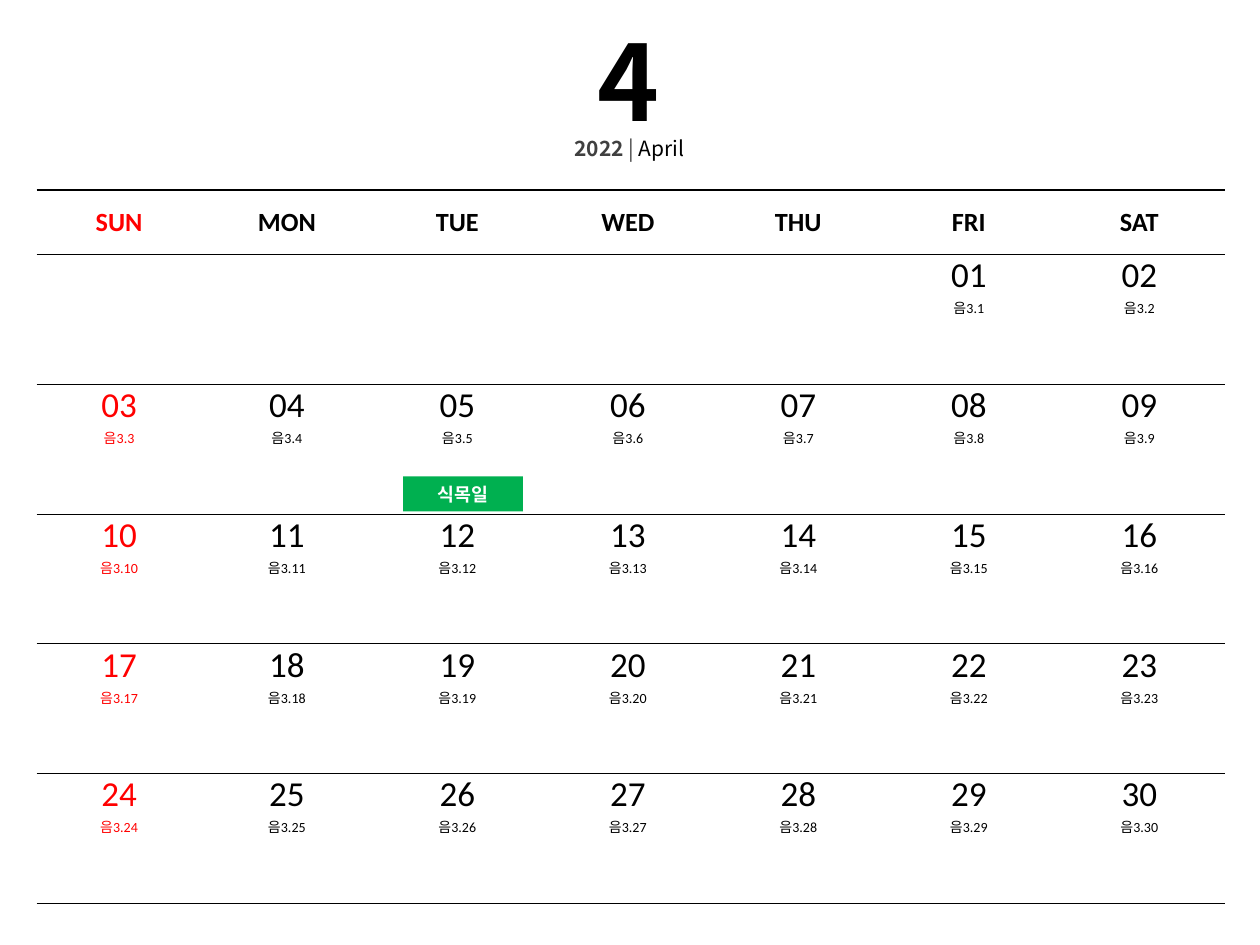
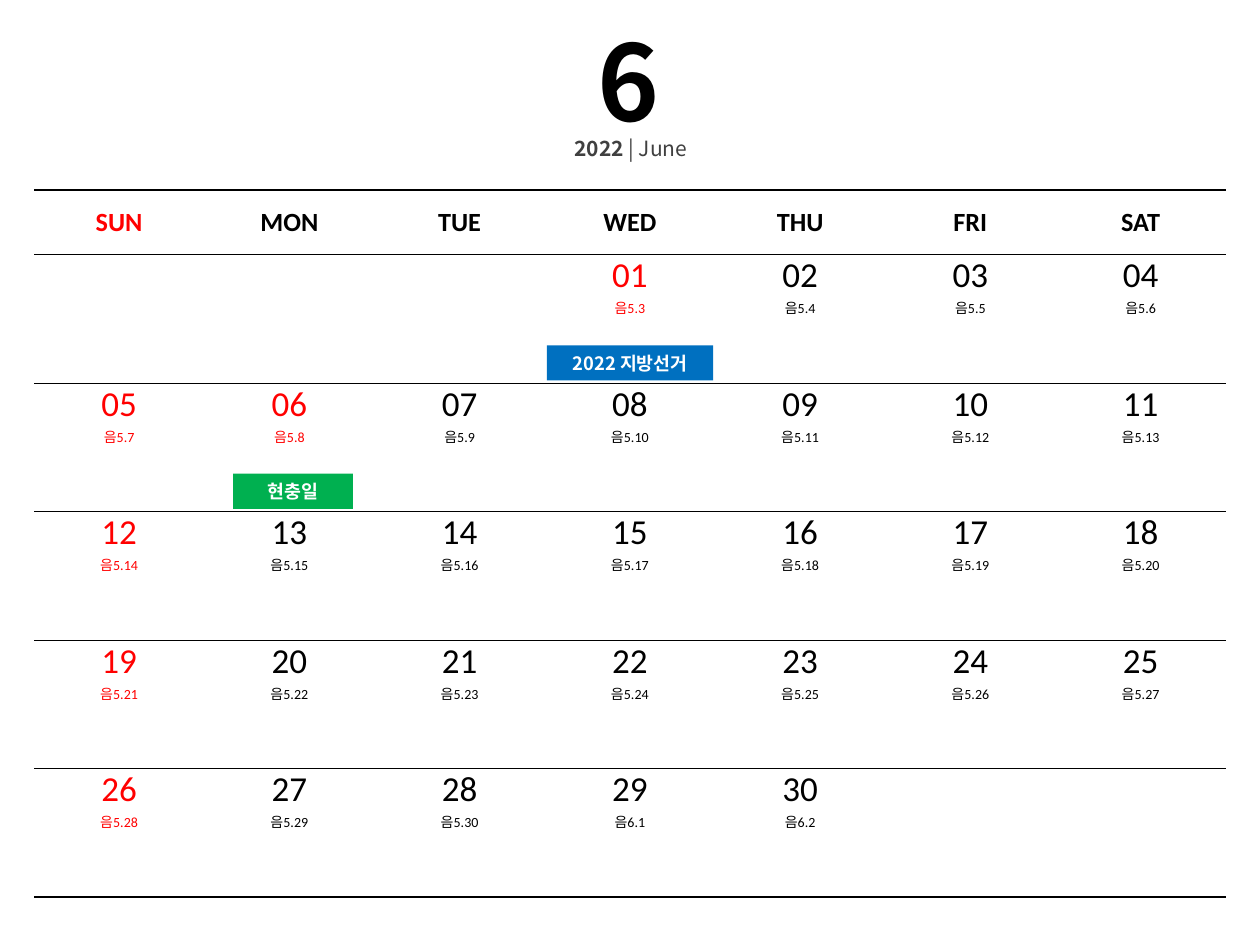
import dataclasses

import pptx
import pptx.dml.color
import pptx.enum.shapes
import pptx.enum.text
import pptx.oxml
import pptx.oxml.ns
import pptx.util
from lxml import etree

Inches = pptx.util.Inches
Pt = pptx.util.Pt
PP_ALIGN = pptx.enum.text.PP_ALIGN
MSO_ANCHOR = pptx.enum.text.MSO_ANCHOR
MSO_AUTO_SIZE = pptx.enum.text.MSO_AUTO_SIZE
qn = pptx.oxml.ns.qn

WEEKDAYS = ["SUN", "MON", "TUE", "WED", "THU", "FRI", "SAT"]
WEEKS = 5
NO_STYLE = "{2D5ABB26-0587-4C30-8999-92F81FD0307C}"


@dataclasses.dataclass(frozen=True)
class Theme:
    black: str = "000000"
    grey: str = "404040"
    white: str = "FFFFFF"
    red: str = "FF0000"
    green: str = "00B050"
    blue: str = "0070C0"
    heading_font: str = "Noto Sans CJK KR"
    grid_font: str = "Calibri"
    month_size: float = 60
    year_size: float = 12
    weekday_size: float = 15
    day_size: float = 20
    lunar_size: float = 8
    banner_size: float = 10.5
    heading_spacing: float = 0.88
    thin: float = 0.5
    thick: float = 1


@dataclasses.dataclass(frozen=True)
class Month:
    number: int
    name: str
    name_color: str
    first_column: int
    days: int
    lunar_month: int
    lunar_start: int
    holidays: tuple
    left: float
    width: float
    first_width: float
    week_height: float
    banners: tuple


class CalendarDeck:
    """Holds the theme and the current slide, and draws calendar elements."""

    table_top = 1.51
    header_height = 0.51
    lunar_month_length = 30

    def __init__(self, theme):
        self.theme = theme
        self.presentation = pptx.Presentation()
        self.presentation.slide_width = Inches(10)
        self.presentation.slide_height = Inches(7.5)
        self.slide = None

    def add_slide(self):
        layout = self.presentation.slide_layouts[5]
        self.slide = self.presentation.slides.add_slide(layout)

    def format_paragraph(self, paragraph, font_name, size, color,
                         bold=False, alignment=PP_ALIGN.CENTER):
        paragraph.alignment = alignment
        font = paragraph.font
        font.size = Pt(size)
        font.bold = bold
        font.color.rgb = pptx.dml.color.RGBColor.from_string(color)
        font.name = font_name
        if font_name == self.theme.heading_font:
            properties = paragraph._p.get_or_add_pPr().get_or_add_defRPr()
            etree.SubElement(properties, qn("a:ea"), typeface=font_name)

    def add_month_title(self, number):
        theme = self.theme
        title = self.slide.shapes.title
        title.left, title.top = Inches(4.64), Inches(0.21)
        title.width, title.height = Inches(0.33), Inches(1.11)
        frame = title.text_frame
        frame.text = str(number)
        frame.word_wrap = True
        frame.auto_size = MSO_AUTO_SIZE.SHAPE_TO_FIT_TEXT
        frame.vertical_anchor = MSO_ANCHOR.TOP
        paragraph = frame.paragraphs[0]
        paragraph.line_spacing = theme.heading_spacing
        self.format_paragraph(paragraph, theme.heading_font, theme.month_size,
                              theme.black, True, PP_ALIGN.LEFT)

    def add_year_line(self, month_name, name_color):
        theme = self.theme
        box = self.slide.shapes.add_textbox(
            Inches(4.46), Inches(1.05), Inches(1.1), Inches(0.71))
        frame = box.text_frame
        frame.word_wrap = False
        paragraph = frame.paragraphs[0]
        paragraph.line_spacing = theme.heading_spacing
        self.format_paragraph(paragraph, theme.heading_font, theme.year_size,
                              theme.grey, alignment=PP_ALIGN.LEFT)
        parts = [("2022", theme.grey, True), (" | ", theme.grey, False),
                 (month_name, name_color, False)]
        for text, color, bold in parts:
            run = paragraph.add_run()
            run.text = text
            run.font.bold = bold
            run.font.color.rgb = pptx.dml.color.RGBColor.from_string(color)

    def add_border(self, cell, side, width):
        properties = cell._tc.get_or_add_tcPr()
        line = etree.Element(qn(f"a:{side}"), w=str(Pt(width)))
        fill = etree.SubElement(line, qn("a:solidFill"))
        etree.SubElement(fill, qn("a:srgbClr"), val=self.theme.black)
        position = 0 if side == "lnT" else 1
        properties.insert(position, line)

    def fill_weekday(self, cell, column):
        theme = self.theme
        cell.vertical_anchor = MSO_ANCHOR.MIDDLE
        cell.text = WEEKDAYS[column]
        color = theme.black if column else theme.red
        self.format_paragraph(cell.text_frame.paragraphs[0], theme.grid_font,
                              theme.weekday_size, color, True)

    def fill_day(self, cell, month, day, column):
        theme = self.theme
        color = theme.red if column == 0 or day in month.holidays else theme.black
        carry, lunar = divmod(month.lunar_start + day - 2, self.lunar_month_length)
        cell.text = f"{day:02d}\n음{month.lunar_month + carry}.{lunar + 1}"
        sizes = (theme.day_size, theme.lunar_size)
        for paragraph, size in zip(cell.text_frame.paragraphs, sizes):
            self.format_paragraph(paragraph, theme.grid_font, size, color)

    def add_calendar(self, month):
        theme = self.theme
        height = self.header_height + WEEKS * month.week_height
        table = self.slide.shapes.add_table(
            WEEKS + 1, len(WEEKDAYS), Inches(month.left), Inches(self.table_top),
            Inches(month.width), Inches(height)).table
        table.first_row = table.horz_banding = False
        table._tbl.tblPr.find(qn("a:tableStyleId")).text = NO_STYLE
        other_width = (month.width - month.first_width) / (len(WEEKDAYS) - 1)
        for index, column in enumerate(table.columns):
            column.width = Inches(other_width if index else month.first_width)
        for index, row in enumerate(table.rows):
            row.height = Inches(month.week_height if index else self.header_height)
            for column, cell in enumerate(row.cells):
                cell.margin_left = cell.margin_right = 0
                cell.margin_top = cell.margin_bottom = 0
                cell.fill.background()
                self.add_border(cell, "lnT", theme.thick if index < 2 else theme.thin)
                self.add_border(cell, "lnB",
                                theme.thick if index in (0, WEEKS) else theme.thin)
                day = (index - 1) * len(WEEKDAYS) + column - month.first_column + 1
                if index == 0:
                    self.fill_weekday(cell, column)
                elif 1 <= day <= month.days:
                    self.fill_day(cell, month, day, column)

    def add_banner(self, month, text, week, left, width, color):
        theme = self.theme
        week_bottom = self.table_top + self.header_height + week * month.week_height
        banner = self.slide.shapes.add_shape(
            pptx.enum.shapes.MSO_SHAPE.RECTANGLE, Inches(left),
            Inches(week_bottom - 0.3), Inches(width), Inches(0.28))
        banner.shadow.inherit = False
        banner.fill.solid()
        banner.fill.fore_color.rgb = pptx.dml.color.RGBColor.from_string(color)
        banner.line.fill.background()
        frame = banner.text_frame
        frame.text = text
        frame.word_wrap = True
        frame.vertical_anchor = MSO_ANCHOR.MIDDLE
        self.format_paragraph(frame.paragraphs[0], theme.heading_font,
                              theme.banner_size, theme.white, True)

    def add_month(self, month):
        self.add_slide()
        self.add_month_title(month.number)
        self.add_calendar(month)
        for banner in month.banners:
            self.add_banner(month, *banner)
        self.add_year_line(month.name, month.name_color)


theme = Theme()
deck = CalendarDeck(theme)
months = [
    Month(number=4, name="April", name_color=theme.black, first_column=5, days=30,
          lunar_month=3, lunar_start=1, holidays=(),
          left=0.29, width=9.43, first_width=1.31, week_height=1.03,
          banners=(("식목일", 2, 3.2, 0.95, theme.green),)),
    Month(number=6, name="June", name_color=theme.grey, first_column=3, days=30,
          lunar_month=5, lunar_start=3, holidays=(1, 6),
          left=0.27, width=9.46, first_width=9.46 / 7, week_height=1.02,
          banners=(("현충일", 2, 1.85, 0.95, theme.green),
                   ("2022 지방선거", 1, 4.34, 1.32, theme.blue))),
]
for month in months:
    deck.add_month(month)
deck.presentation.save("out.pptx")
